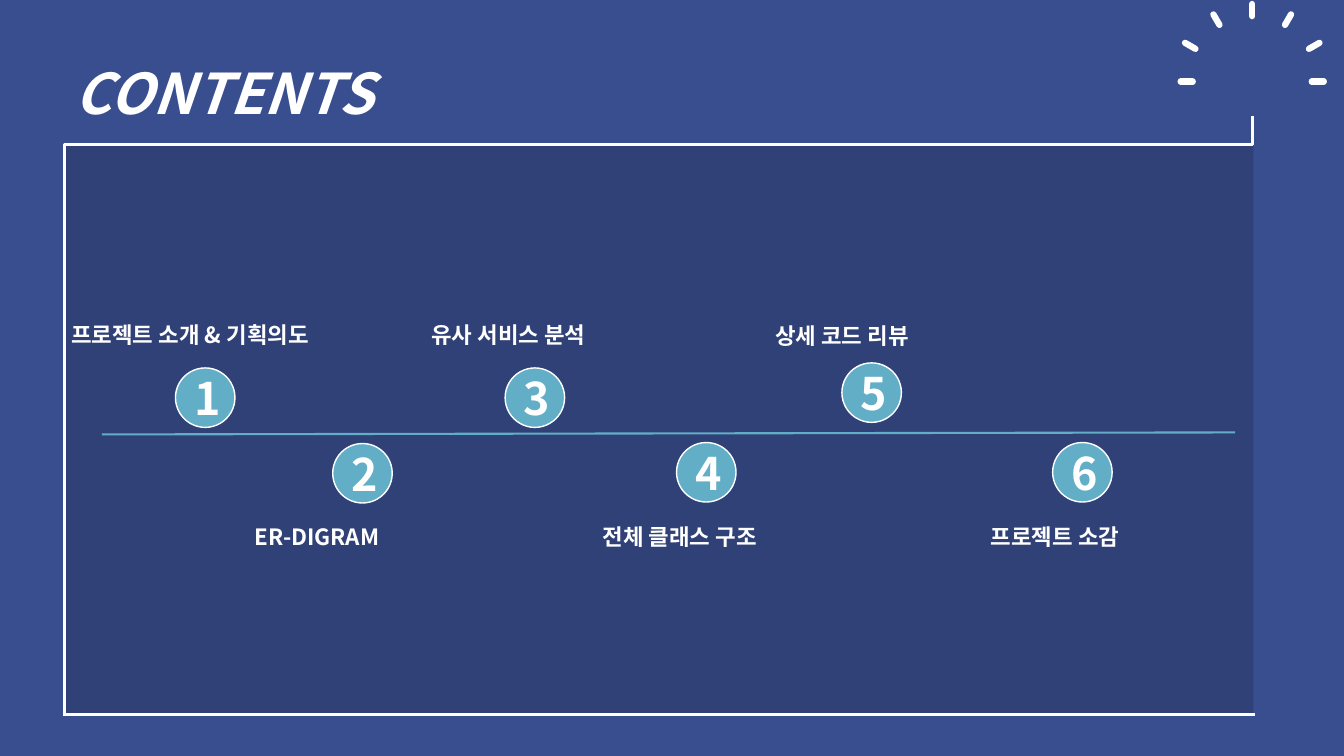
import math

from lxml import etree
from pptx import Presentation
from pptx import util as u
from pptx.dml.color import RGBColor
from pptx.enum import shapes, text
from pptx.oxml.ns import qn

CELL = u.Inches(0.1)  # grid of 133.3 columns by 75 rows
COLUMNS, ROWS = 133.3, 75
FONT = "Noto Sans CJK KR"
COLOURS = {
    "background": "394E8F",
    "panel": "304178",
    "accent": "62AEC6",
    "white": "FFFFFF",
}
CIRCLE_SIZE = 5.9
LABEL_SIZE = (35.3, 3.7)

# number, label, circle column and row, label column and row
TOPICS = [
    (1, "프로젝트 소개 & 기획의도", (17.4, 36.5), (6.1, 31.4)),
    (2, "ER-DIGRAM", (33, 44), (24.3, 51.4)),
    (3, "유사 서비스 분석", (50.1, 36.5), (41.8, 31.4)),
    (4, "전체 클래스 구조", (67.1, 43.9), (58.8, 51.4)),
    (5, "상세 코드 리뷰", (83.5, 36), (75.9, 31.5)),
    (6, "프로젝트 소감", (104.4, 43.9), (97.3, 51.4)),
]


def cells(*counts):
    return [round(count * CELL) for count in counts]


def colour(name):
    return RGBColor.from_string(COLOURS[name])


def apply(target, formats):
    for name, value in formats.items():
        setattr(target, name, value)


def write(shape, words, size, frame_format, paragraph_format=None, italic=None):
    apply(shape.text_frame, {"word_wrap": True, **frame_format})
    paragraph = shape.text_frame.paragraphs[0]
    apply(paragraph, paragraph_format or {})
    run = paragraph.add_run()
    run.text = words
    apply(run.font, {"name": FONT, "size": u.Pt(size), "bold": True, "italic": italic})
    run.font.color.rgb = colour("white")
    east_asian = etree.SubElement(run.font._element, qn("a:ea"))
    east_asian.set("typeface", FONT)


def add_line(parent, start, end, width, line_colour="white",
             kind=shapes.MSO_CONNECTOR.STRAIGHT):
    line = parent.add_connector(kind, *cells(*start, *end))
    line.line.color.rgb = colour(line_colour)
    line.line.width = u.Pt(width)
    etree.SubElement(line._element.spPr, qn("a:effectLst"))
    return line


def add_filled_shape(parent, kind, box, fill, outline=None):
    shape = parent.add_shape(kind, *cells(*box))
    shape.shadow.inherit = False
    shape.fill.solid()
    shape.fill.fore_color.rgb = colour(fill)
    if outline:
        shape.line.color.rgb = colour(outline)
        shape.line.width = u.Pt(1)
    else:
        shape.line.fill.background()
    return shape


def add_rays(slide):
    """Draw seven round-ended strokes fanned over a half circle."""
    rays = slide.shapes.add_group_shape().shapes
    centre_column, centre_row = 124.2, 8.1
    for degrees in range(0, 181, 30):
        outer = 7.1 if degrees % 180 == 0 else 7.7
        across, up = math.cos(math.radians(degrees)), math.sin(math.radians(degrees))
        start, end = [
            (centre_column + radius * across, centre_row - radius * up)
            for radius in (outer, outer - 1.2)
        ]
        ray = add_line(rays, start, end, 4.5)
        ray.line._get_or_add_ln().set("cap", "rnd")


def add_panel(slide):
    panel = slide.shapes.add_group_shape().shapes
    add_filled_shape(panel, shapes.MSO_SHAPE.RECTANGLE, (6.4, 14.2, 117.9, 56.8), "panel")
    border = add_line(panel, (124.2, 11.5), (6.4, 71), 2, kind=shapes.MSO_CONNECTOR.ELBOW)
    bend_border(border, {"adj1": 0, "adj2": 4700})
    add_line(panel, (6.4, 70.9), (124.5, 70.9), 2)


def bend_border(border, adjustments):
    """Give the elbow three segments: down, across, down."""
    geometry = border._element.spPr.find(qn("a:prstGeom"))
    geometry.set("prst", "bentConnector4")
    guides = geometry.find(qn("a:avLst"))
    if guides is None:
        guides = etree.SubElement(geometry, qn("a:avLst"))
    for name, value in adjustments.items():
        guide = etree.SubElement(guides, qn("a:gd"))
        guide.set("name", name)
        guide.set("fmla", f"val {value}")


def add_title(slide):
    title = slide.shapes.title
    left, top, width, height = cells(6.4, 2, 66.7, 9.8)
    apply(title, {"left": left, "top": top, "width": width, "height": height})
    write(title, "CONTENTS", 40,
          {"vertical_anchor": text.MSO_ANCHOR.TOP,
           "auto_size": text.MSO_AUTO_SIZE.SHAPE_TO_FIT_TEXT},
          {"alignment": text.PP_ALIGN.LEFT, "line_spacing": 1.5}, italic=True)


def add_topic(slide, number, label, circle_place, label_place):
    circle = add_filled_shape(
        slide.shapes, shapes.MSO_SHAPE.OVAL,
        (*circle_place, CIRCLE_SIZE, CIRCLE_SIZE), "accent", "white")
    write(circle, str(number), 32, {"vertical_anchor": text.MSO_ANCHOR.MIDDLE},
          {"alignment": text.PP_ALIGN.CENTER})
    caption = slide.shapes.add_textbox(*cells(*label_place, *LABEL_SIZE))
    write(caption, label, 16, {"auto_size": text.MSO_AUTO_SIZE.SHAPE_TO_FIT_TEXT})


def main():
    presentation = Presentation()
    presentation.slide_width, presentation.slide_height = cells(COLUMNS, ROWS)
    slide = presentation.slides.add_slide(presentation.slide_layouts.get_by_name("Title Only"))
    slide.background.fill.solid()
    slide.background.fill.fore_color.rgb = colour("background")
    add_rays(slide)
    add_panel(slide)
    add_title(slide)
    add_line(slide.shapes, (10.1, 43.1), (122.5, 42.9), 1.5, "accent")
    for topic in TOPICS:
        add_topic(slide, *topic)
    presentation.save("out.pptx")


if __name__ == "__main__":
    main()
